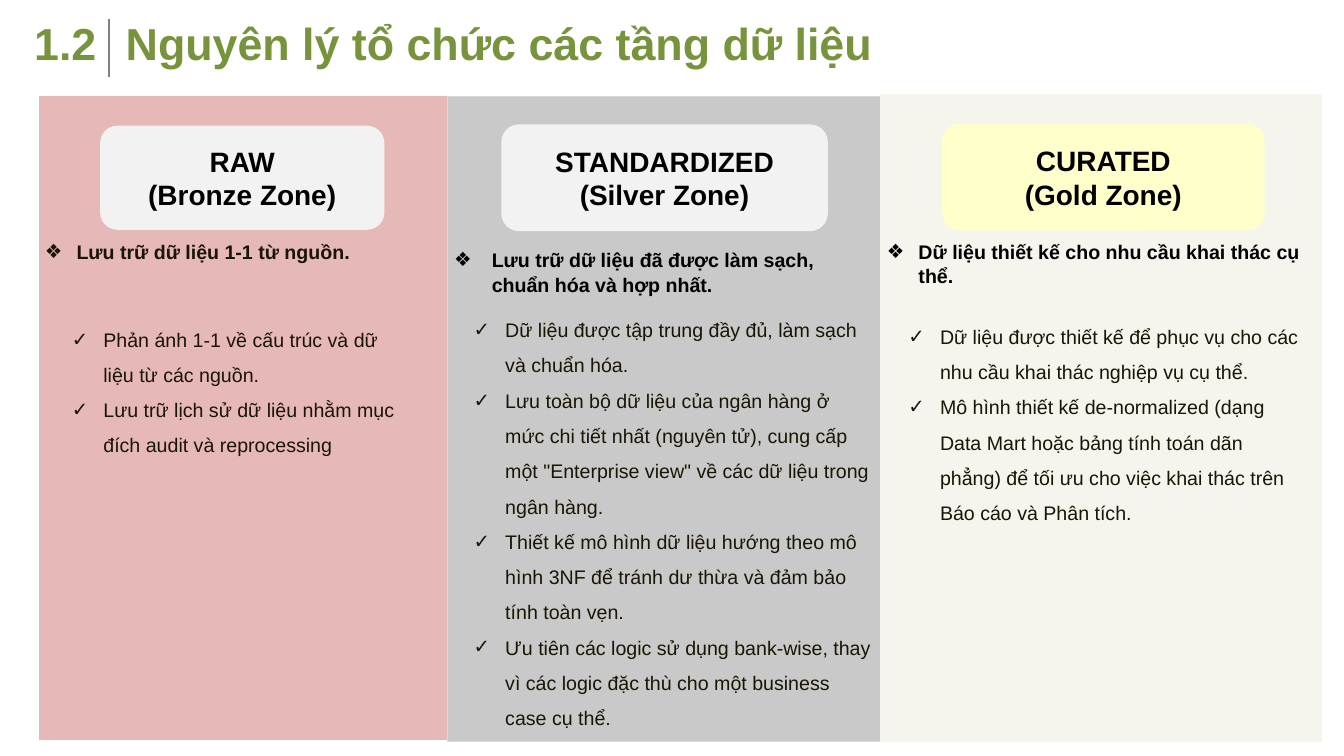
from dataclasses import dataclass

from lxml import etree
from pptx import Presentation
from pptx.dml.color import RGBColor
from pptx.enum.shapes import MSO_CONNECTOR, MSO_SHAPE
from pptx.enum.text import MSO_ANCHOR, MSO_AUTO_SIZE, PP_ALIGN
from pptx.oxml.ns import qn
from pptx.util import Emu, Pt

RECTANGLE, ROUNDED = MSO_SHAPE.RECTANGLE, MSO_SHAPE.ROUNDED_RECTANGLE
STRAIGHT = MSO_CONNECTOR.STRAIGHT
LEFT, CENTER = PP_ALIGN.LEFT, PP_ALIGN.CENTER
TOP, MIDDLE = MSO_ANCHOR.TOP, MSO_ANCHOR.MIDDLE
NO_FIT, GROW = MSO_AUTO_SIZE.NONE, MSO_AUTO_SIZE.SHAPE_TO_FIT_TEXT
TITLE_ONLY = 5
EMU_PER_PX = 9144


@dataclass(frozen=True)
class Theme:
    """Colours, font and type sizes of the slide."""
    font: str = "Arial"
    title: str = "77933C"
    divider: str = "808080"
    ink: str = "000000"
    body: str = "1A1504"
    badge: str = "F2F2F2"
    gold_badge: str = "FFFFCC"
    bronze: str = "E6B9B8"
    silver: str = "A6A6A6"
    gold: str = "F5F4ED"
    white: str = "FFFFFF"
    silver_line: str = "D9D9D9"
    title_size: int = 48
    badge_size: int = 30
    body_size: int = 21


THEME = Theme()


@dataclass(frozen=True)
class Zone:
    """Content and geometry of one data zone, boxes as left, top, width, height."""
    panel: tuple
    fill: str
    line: tuple
    badge: tuple
    badge_fill: str
    names: tuple
    headline: str
    headline_color: str
    headline_top: int
    points_box: tuple
    points: tuple
    indent: int = 47
    spacing: float = 1.0
    opacity: int = 100


ZONES = (
    Zone((57, 141, 609, 962), THEME.bronze, (THEME.white, 2),
         (149, 187, 423, 155), THEME.badge, ("RAW", "(Bronze Zone)"),
         "Lưu trữ dữ liệu 1-1 từ nguồn.", THEME.body, 357,
         (97, 465, 527, 216),
         ("Phản ánh 1-1 về cấu trúc và dữ liệu từ các nguồn.",
          "Lưu trữ lịch sử dữ liệu nhằm mục đích audit và reprocessing")),
    Zone((666, 143, 646, 960), THEME.silver, (THEME.silver_line, 0.75),
         (746, 185, 486, 159), THEME.badge, ("STANDARDIZED", "(Silver Zone)"),
         "Lưu trữ dữ liệu đã được làm sạch, chuẩn hóa và hợp nhất.", THEME.ink, 366,
         (695, 451, 612, 640),
         ("Dữ liệu được tập trung đầy đủ, làm sạch và chuẩn hóa.",
          "Lưu toàn bộ dữ liệu của ngân hàng ở mức chi tiết nhất (nguyên tử), "
          "cung cấp một \"Enterprise view\" về các dữ liệu trong ngân hàng.",
          "Thiết kế mô hình dữ liệu hướng theo mô hình 3NF để tránh dư thừa "
          "và đảm bảo tính toàn vẹn.",
          "Ưu tiên các logic sử dụng bank-wise, thay vì các logic đặc thù "
          "cho một business case cụ thể."),
         indent=56, spacing=1.07, opacity=60),
    Zone((1310, 141, 656, 962), THEME.gold, (THEME.gold, 0.75),
         (1402, 184, 480, 159), THEME.gold_badge, ("CURATED", "(Gold Zone)"),
         "Dữ liệu thiết kế cho nhu cầu khai thác cụ thể.", THEME.ink, 357,
         (1342, 461, 606, 322),
         ("Dữ liệu được thiết kế để phục vụ cho các nhu cầu khai thác nghiệp vụ cụ thể.",
          "Mô hình thiết kế de-normalized (dạng Data Mart hoặc bảng tính toán dãn phẳng) "
          "để tối ưu cho việc khai thác trên Báo cáo và Phân tích.")),
)


def px(length):
    """Turn px into EMU."""
    return Emu(length * EMU_PER_PX)


def rgb(color):
    """Turn a hex string into a colour."""
    return RGBColor.from_string(color)


def set_frame(shape, anchor=TOP, insets=(10, 5, 10, 5), wrap=True, fit=NO_FIT):
    """Set the text frame's layout and return the frame."""
    frame = shape.text_frame
    frame.word_wrap = wrap
    frame.auto_size = fit
    frame.vertical_anchor = anchor
    frame.margin_left, frame.margin_top, frame.margin_right, frame.margin_bottom = map(px, insets)
    return frame


def add_bullet(paragraph, character, indent):
    """Give a paragraph a hanging bullet."""
    properties = paragraph._p.get_or_add_pPr()
    properties.set("marL", str(px(indent)))
    properties.set("indent", str(-px(indent)))
    etree.SubElement(properties, qn("a:buFont")).set("typeface", THEME.font)
    etree.SubElement(properties, qn("a:buChar")).set("char", character)


def write(frame, texts, size, color, bold=False, align=LEFT, spacing=1.0, bullet=None, indent=0):
    """Write one paragraph per text."""
    for index, text in enumerate(texts):
        paragraph = frame.add_paragraph() if index else frame.paragraphs[0]
        paragraph.alignment = align
        paragraph.line_spacing = spacing
        if bullet:
            add_bullet(paragraph, bullet, indent)
        run = paragraph.add_run()
        run.text = text
        run.font.name = THEME.font
        run.font.size = Pt(size)
        run.font.bold = bold
        run.font.color.rgb = rgb(color)


def add_block(slide, kind, box, fill, line=None, opacity=100):
    """Add a filled preset shape."""
    shape = slide.shapes.add_shape(kind, *map(px, box))
    shape.shadow.inherit = False
    shape.fill.solid()
    shape.fill.fore_color.rgb = rgb(fill)
    if opacity < 100:
        color = shape._element.spPr.find(qn("a:solidFill"))[0]
        etree.SubElement(color, qn("a:alpha")).set("val", str(opacity * 1000))
    if line:
        shape.line.color.rgb = rgb(line[0])
        shape.line.width = Pt(line[1])
    else:
        shape.line.fill.background()
    return shape


def add_header(slide):
    """Place the section number, the divider and the title."""
    number = slide.shapes.add_textbox(*map(px, (41, 19, 114, 91)))
    write(set_frame(number, wrap=False, fit=GROW), ["1.2"], THEME.title_size, THEME.title, True)
    divider = slide.shapes.add_connector(STRAIGHT, *map(px, (162, 29, 162, 115)))
    divider.line.color.rgb = rgb(THEME.divider)
    divider.line.width = Pt(2.25)
    etree.SubElement(divider._element.spPr, qn("a:effectLst"))
    title = slide.shapes.title
    title.left, title.top, title.width, title.height = map(px, (177, 18, 1560, 91))
    write(set_frame(title), ["Nguyên lý tổ chức các tầng dữ liệu"],
          THEME.title_size, THEME.title, True)


def add_zone(slide, zone):
    """Add a panel with its headline and its name badge."""
    panel = add_block(slide, RECTANGLE, zone.panel, zone.fill, zone.line, zone.opacity)
    frame = set_frame(panel, insets=(10, zone.headline_top - zone.panel[1], 10, 5))
    write(frame, [zone.headline], THEME.body_size, zone.headline_color, True,
          spacing=zone.spacing, bullet="❖", indent=zone.indent)
    badge = add_block(slide, ROUNDED, zone.badge, zone.badge_fill)
    write(set_frame(badge, MIDDLE, (15, 7, 15, 7)), zone.names,
          THEME.badge_size, THEME.ink, True, CENTER)


def add_points(slide, zone):
    """Add the check list of a zone."""
    box = slide.shapes.add_textbox(*map(px, zone.points_box))
    write(set_frame(box, fit=GROW), zone.points, THEME.body_size, THEME.body,
          spacing=1.5, bullet="✓", indent=47)


def main():
    """Build and save the slide."""
    presentation = Presentation()
    presentation.slide_width, presentation.slide_height = px(2000), px(1125)
    slide = presentation.slides.add_slide(presentation.slide_layouts[TITLE_ONLY])
    add_header(slide)
    for zone in ZONES:
        add_zone(slide, zone)
    for zone in ZONES:
        add_points(slide, zone)
    presentation.save("out.pptx")


if __name__ == "__main__":
    main()
